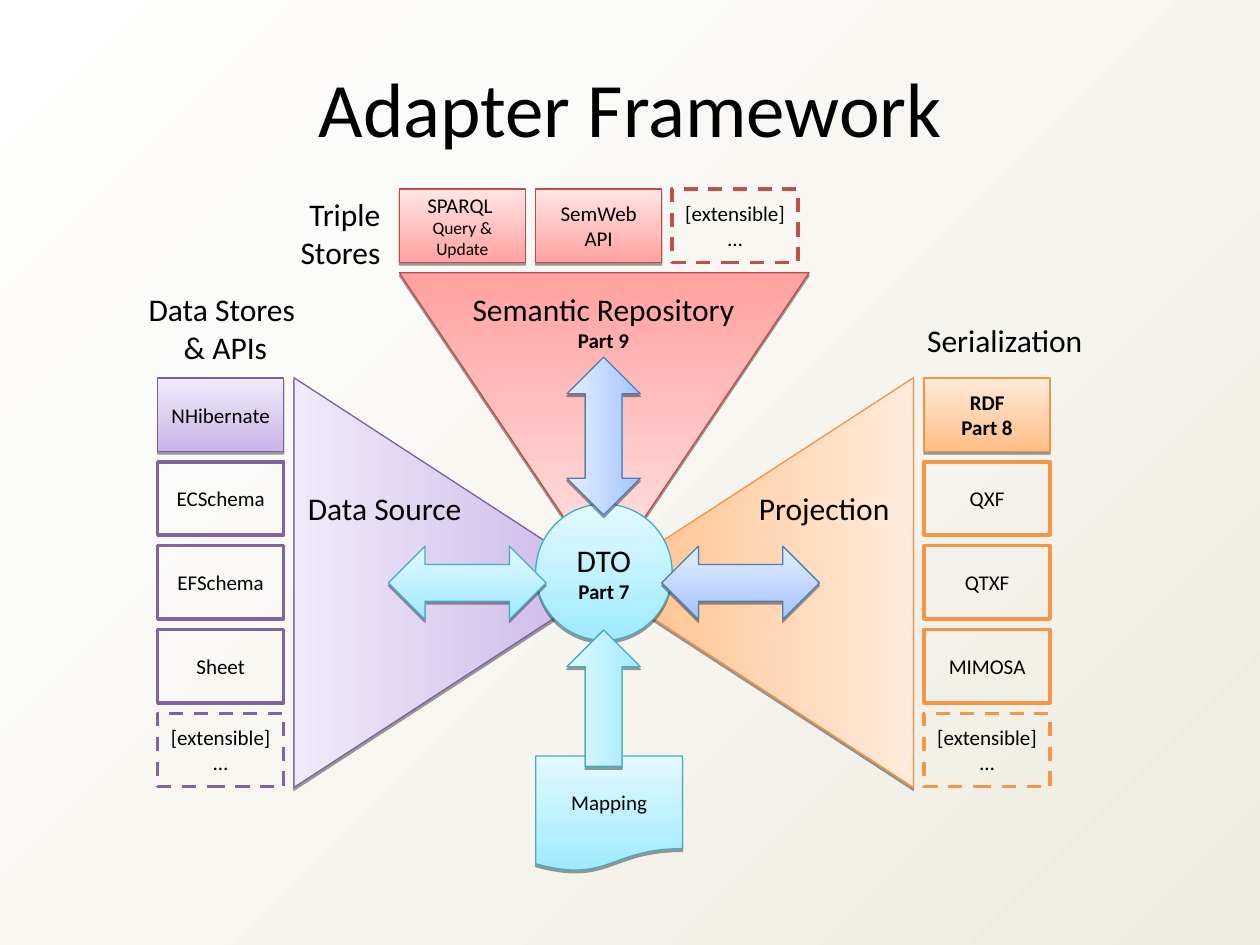
from dataclasses import dataclass

from lxml import etree
from pptx import Presentation
from pptx import util as u
from pptx.dml.color import RGBColor
from pptx.enum import dml, shapes, text
from pptx.oxml.ns import qn

KIND = shapes.MSO_SHAPE
ALIGN = text.PP_ALIGN


@dataclass(frozen=True)
class Tone:
    dark: str
    light: str
    edge: str
    outline: str = ""


@dataclass(frozen=True)
class Theme:
    font: str = "Calibri"
    ink: str = "000000"
    backdrop: tuple = ("FFFFFF", "EEECE1")
    red: Tone = Tone("FFA2A1", "FFE5E5", "BE4B48", "C0504D")
    purple: Tone = Tone("C9B5E8", "F0EAF9", "7D60A0", "8064A2")
    orange: Tone = Tone("FFBE86", "FFEBDB", "F69240", "F79646")
    aqua: Tone = Tone("9EEAFF", "E4F9FF", "46AAC5")
    blue: Tone = Tone("A3C4FF", "E5EEFF", "4A7EBB")
    title: int = 44
    heading: int = 18
    body: int = 12
    small: int = 10
    edge_width: float = 0.75
    outline_width: float = 2


THEME = Theme()
BOX_WIDTH, BOX_HEIGHT = 2.54, 1.48
COLUMN_STEP, ROW_STEP = 2.75, 1.69
EXTENSIBLE = "[extensible]\n…"


def assign(target, values):
    for name, value in values.items():
        setattr(target, name, value)


def blend(fill, colours, angle):
    """Fill with a two-colour gradient; the angle runs counter-clockwise."""
    fill.gradient()
    fill.gradient_angle = angle
    for stop, colour in zip(fill.gradient_stops, colours):
        stop.color.rgb = RGBColor.from_string(colour)


def cast_shadow(shape):
    effects = shape._element.spPr.find(qn("a:effectLst"))
    shadow = etree.SubElement(effects, qn("a:outerShdw"), blurRad="0", dist="20000",
                              dir="5400000", rotWithShape="0")
    colour = etree.SubElement(shadow, qn("a:srgbClr"), val=THEME.ink)
    etree.SubElement(colour, qn("a:alpha"), val="38000")


def write(shape, wording, size=THEME.body, bold=False, align=ALIGN.CENTER, second=None):
    """Newlines part paragraphs, vertical tabs part lines; second restyles the second line."""
    lead = {"name": THEME.font, "size": u.Pt(size), "bold": bold}
    frame = shape.text_frame
    frame.text = wording
    for paragraph in frame.paragraphs:
        paragraph.alignment = align
        for index, run in enumerate(paragraph.runs):
            assign(run.font, {**lead, **(second or {})} if index else lead)
            run.font.color.rgb = RGBColor.from_string(THEME.ink)


def add_label(slide, wording, left, top, width, height, size=THEME.heading, wrap=True, **style):
    label = slide.shapes.add_textbox(*map(u.Cm, (left, top, width, height)))
    assign(label.text_frame, {"word_wrap": wrap,
                              "auto_size": text.MSO_AUTO_SIZE.SHAPE_TO_FIT_TEXT})
    write(label, wording, size, **style)


def add_solid(slide, kind, tone, left, top, width, height, angle=90, rotation=0):
    """Add a shape with a gradient, a thin edge and a shadow."""
    solid = slide.shapes.add_shape(kind, *map(u.Cm, (left, top, width, height)))
    assign(solid, {"rotation": rotation})
    solid.shadow.inherit = False
    cast_shadow(solid)
    blend(solid.fill, (tone.dark, tone.light), angle)
    solid.line.color.rgb = RGBColor.from_string(tone.edge)
    solid.line.width = u.Pt(THEME.edge_width)
    return solid


def add_outline(slide, tone, left, top, dashed):
    box = slide.shapes.add_shape(KIND.RECTANGLE,
                                 *map(u.Cm, (left, top, BOX_WIDTH, BOX_HEIGHT)))
    box.shadow.inherit = False
    box.fill.background()
    box.line.color.rgb = RGBColor.from_string(tone.outline)
    box.line.width = u.Pt(THEME.outline_width)
    if dashed:
        box.line.dash_style = dml.MSO_LINE.DASH
    return box


def add_adapters(slide, tone, left, top, step, implemented, planned=(), **style):
    """Lay out implemented boxes, then planned ones, then the extensible slot."""
    step_x, step_y = step
    for index, wording in enumerate((*implemented, *planned, EXTENSIBLE)):
        x, y = left + index * step_x, top + index * step_y
        if index < len(implemented):
            box = add_solid(slide, KIND.RECTANGLE, tone, x, y, BOX_WIDTH, BOX_HEIGHT)
            write(box, wording, **style)
        else:
            write(add_outline(slide, tone, x, y, wording == EXTENSIBLE), wording)


def main():
    deck = Presentation()
    assign(deck, {"slide_width": u.Cm(25.4), "slide_height": u.Cm(19.05)})
    slide = deck.slides.add_slide(deck.slide_layouts[6])
    blend(slide.background.fill, THEME.backdrop, 315)

    triangle = KIND.ISOSCELES_TRIANGLE
    add_solid(slide, triangle, THEME.red, 8.05, 5.5, 8.26, 6.14, 90, 180)
    add_solid(slide, triangle, THEME.purple, 4.97, 8.57, 8.26, 6.35, 270, 90)
    add_solid(slide, triangle, THEME.orange, 11.11, 8.57, 8.26, 6.35, 270, 270)

    part = {"size": u.Pt(THEME.body), "bold": True}
    add_label(slide, "Adapter Framework", 0.43, 1.09, 24.56, 2.13, THEME.title)
    add_label(slide, "Semantic Repository\vPart 9", 8.89, 5.72, 6.55, 1.52, second=part)
    add_label(slide, "Projection", 14.81, 9.74, 3.61, 1.02)
    add_label(slide, "Data Source", 5.94, 9.74, 3.63, 1.02, wrap=False)
    add_label(slide, "Data Stores \v& APIs", 2.74, 5.72, 3.61, 2.54)
    add_label(slide, "Triple\vStores", 5.79, 3.81, 2.13, 1.78, wrap=False, align=ALIGN.RIGHT)
    add_label(slide, "Serialization", 18.44, 6.35, 3.66, 1.02, wrap=False, align=ALIGN.LEFT)

    add_adapters(slide, THEME.red, 8.05, 3.81, (COLUMN_STEP, 0),
                 ("SPARQL \vQuery & Update", "SemWeb API"),
                 second={"size": u.Pt(THEME.small)})
    add_adapters(slide, THEME.purple, 3.18, 7.62, (0, ROW_STEP),
                 ("NHibernate",), ("ECSchema", "EFSchema", "Sheet"))
    add_adapters(slide, THEME.orange, 18.63, 7.62, (0, ROW_STEP),
                 ("RDF\vPart 8",), ("QXF", "QTXF", "MIMOSA"), bold=True)

    hub = add_solid(slide, KIND.OVAL, THEME.aqua, 10.8, 10.16, 2.75, 2.75)
    write(hub, "DTO\vPart 7", THEME.heading, second=part)
    mapping = add_solid(slide, KIND.FLOWCHART_DOCUMENT, THEME.aqua, 10.8, 15.24, 2.96, 2.33)
    write(mapping, "Mapping")

    add_solid(slide, KIND.LEFT_RIGHT_ARROW, THEME.aqua, 7.83, 11.01, 3.18, 1.48)
    add_solid(slide, KIND.LEFT_RIGHT_ARROW, THEME.blue, 13.34, 11.01, 3.18, 1.48)
    add_solid(slide, KIND.UP_DOWN_ARROW, THEME.blue, 11.43, 7.2, 1.48, 3.18, 180)
    add_solid(slide, KIND.UP_ARROW, THEME.aqua, 11.43, 12.7, 1.48, 2.75, 180)

    deck.save("out.pptx")


if __name__ == "__main__":
    main()
